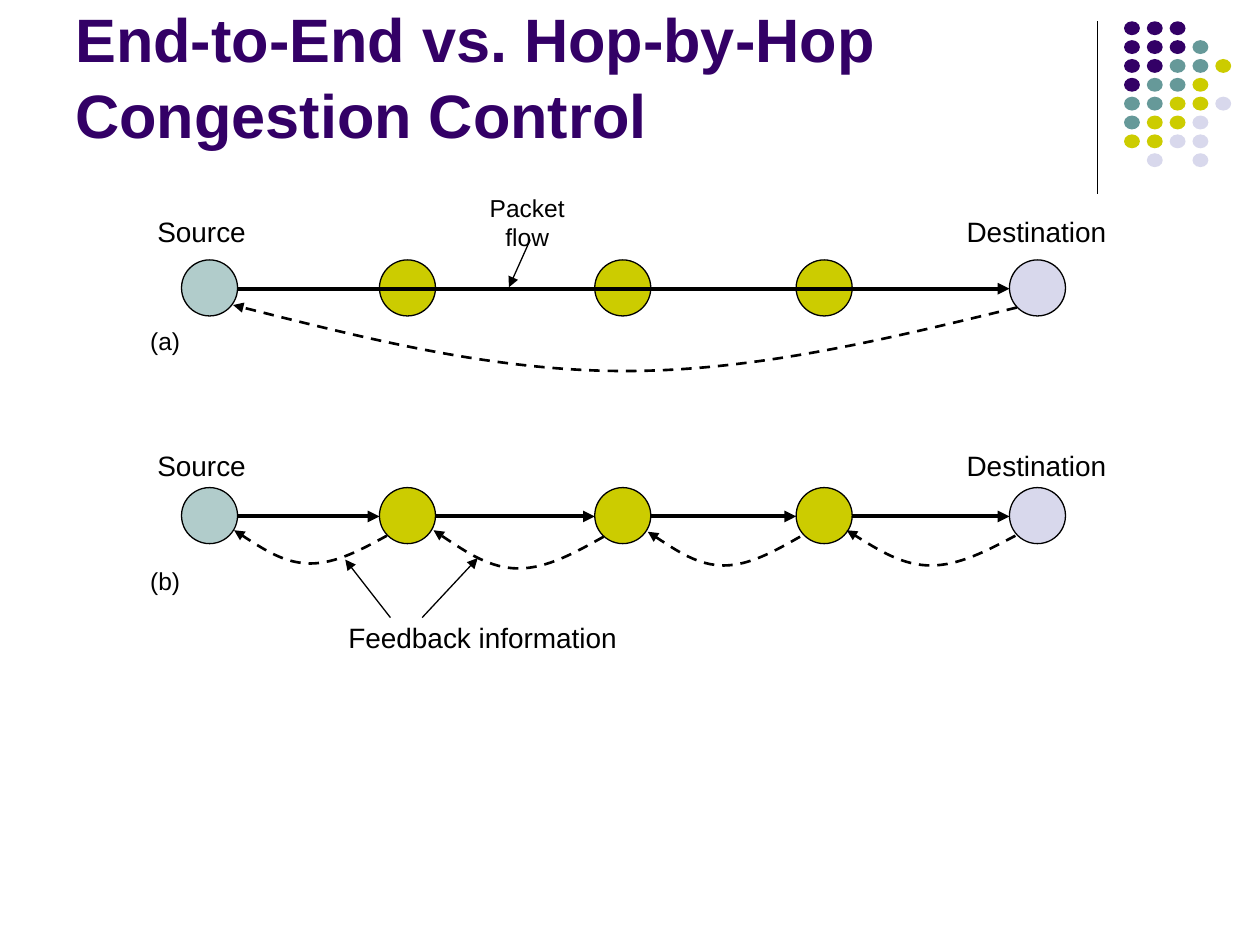
from itertools import pairwise

from pptx import Presentation
from pptx.dml.color import RGBColor
from pptx.enum.dml import MSO_LINE
from pptx.enum.shapes import MSO_CONNECTOR, MSO_SHAPE
from pptx.enum.text import MSO_ANCHOR, PP_ALIGN
from pptx.oxml.ns import qn
from pptx.oxml.xmlchemy import OxmlElement
from pptx.util import Cm, Pt

BLACK = RGBColor(0x00, 0x00, 0x00)
PURPLE = RGBColor(0x33, 0x00, 0x66)
TEAL = RGBColor(0x66, 0x99, 0x99)
PALE_TEAL = RGBColor(0xB1, 0xCC, 0xCB)
YELLOW = RGBColor(0xCC, 0xCC, 0x00)
LAVENDER = RGBColor(0xD8, 0xD8, 0xEC)

deck = Presentation()
deck.slide_width = Cm(25.4)
deck.slide_height = Cm(19.05)
page = deck.slides.add_slide(deck.slide_layouts[6])


def add_circle(left, top, width, height, color):
    circle = page.shapes.add_shape(
        MSO_SHAPE.OVAL, Cm(left), Cm(top), Cm(width), Cm(height))
    circle.shadow.inherit = False
    circle.fill.solid()
    circle.fill.fore_color.rgb = color
    circle.line.fill.background()
    return circle


def add_line(x1, y1, x2, y2, width, arrow=True):
    connector = page.shapes.add_connector(
        MSO_CONNECTOR.STRAIGHT, Cm(x1), Cm(y1), Cm(x2), Cm(y2))
    connector.line.color.rgb = BLACK
    connector.line.width = Pt(width)
    if arrow:
        tail = OxmlElement("a:tailEnd")
        tail.set("type", "triangle")
        connector.line._get_or_add_ln().append(tail)
    connector._element.spPr.append(OxmlElement("a:effectLst"))


add_line(22.12, 0.43, 22.12, 3.91, 0.75, arrow=False)

DOT_COLORS = {"P": PURPLE, "T": TEAL, "Y": YELLOW, "L": LAVENDER}
DOT_ROWS = ["PPP", "PPPT", "PPTTY", "PTTY", "TTYYL", "TYYL", "YYLL", "-L-L"]
for row, letters in enumerate(DOT_ROWS):
    for column, letter in enumerate(letters):
        if letter in DOT_COLORS:
            add_circle(22.66 + 0.46 * column, 0.43 + 0.38 * row,
                       0.32, 0.28, DOT_COLORS[letter])

NODE_SIZE = 1.13
NODE_LEFTS = [3.66, 7.65, 11.99, 16.05, 20.35]
NODE_COLORS = [PALE_TEAL, YELLOW, YELLOW, YELLOW, LAVENDER]
END_TO_END_TOP, HOP_BY_HOP_TOP = 5.24, 9.83
for top in (END_TO_END_TOP, HOP_BY_HOP_TOP):
    for left, color in zip(NODE_LEFTS, NODE_COLORS):
        node = add_circle(left, top, NODE_SIZE, NODE_SIZE, color)
        node.line.color.rgb = BLACK
        node.line.width = Pt(0.75)

flows = [(NODE_LEFTS[0], NODE_LEFTS[-1], END_TO_END_TOP + 0.58)]
flows += [(left, right, HOP_BY_HOP_TOP + 0.58)
          for left, right in pairwise(NODE_LEFTS)]
for left, right, level in flows:
    add_line(left + NODE_SIZE, level, right, level, 2.25)

FEEDBACK_CURVES = [
    (20.5, 6.2, 7.48, 4.7, 6.15),
    (7.8, 10.8, 11.36, 4.72, 10.69),
    (12.17, 10.82, 11.46, 8.74, 10.69),
    (16.13, 10.82, 11.4, 13.06, 10.72),
    (20.47, 10.8, 11.4, 17.07, 10.69),
]
for x1, y1, bottom, x2, y2 in FEEDBACK_CURVES:
    levels = [y1, (y1 + bottom) / 2, bottom, bottom, bottom, (bottom + y2) / 2, y2]
    points = [(Cm(x1 + (x2 - x1) * step / 6), Cm(level))
              for step, level in enumerate(levels)]
    builder = page.shapes.build_freeform(*points[0], scale=1.0)
    builder.add_line_segments(points[1:], close=False)
    curve = builder.convert_to_shape()
    segments = list(curve._element.iter(qn("a:lnTo")))
    for start in (0, 3):
        bezier = OxmlElement("a:cubicBezTo")
        segments[start].addprevious(bezier)
        for segment in segments[start:start + 3]:
            bezier.append(segment[0])
            segment.getparent().remove(segment)
    curve.shadow.inherit = False
    curve.fill.background()
    curve.line.color.rgb = BLACK
    curve.line.width = Pt(1.5)
    curve.line.dash_style = MSO_LINE.DASH
    tail = OxmlElement("a:tailEnd")
    tail.set("type", "triangle")
    curve.line._get_or_add_ln().append(tail)

for pointer in [(7.87, 12.45, 6.96, 11.28), (8.51, 12.45, 9.63, 11.25),
                (10.69, 4.83, 10.26, 5.79)]:
    add_line(*pointer, 0.75)

LABELS = [
    ("Source", 2.92, 4.19, 2.29, 0.94, 16),
    ("Destination", 19.23, 4.19, 3.33, 0.94, 16),
    ("Packet flow", 9.12, 4.06, 3.02, 0.84, 14),
    ("(a)", 2.77, 6.45, 1.12, 0.84, 14),
    ("Source", 2.92, 8.92, 2.29, 0.94, 16),
    ("Destination", 19.23, 8.92, 3.33, 0.94, 16),
    ("(b)", 2.77, 11.28, 1.12, 0.84, 14),
    ("Feedback information", 6.76, 12.37, 5.94, 0.94, 16),
]
for text, left, top, width, height, size in LABELS:
    box = page.shapes.add_textbox(Cm(left), Cm(top), Cm(width), Cm(height))
    box.text_frame.word_wrap = False
    box.text_frame.vertical_anchor = MSO_ANCHOR.MIDDLE
    para = box.text_frame.paragraphs[0]
    para.alignment = PP_ALIGN.CENTER
    span = para.add_run()
    span.text = text
    span.font.name = "Arial"
    span.font.size = Pt(size)
    span.font.color.rgb = BLACK

title = page.shapes.add_textbox(Cm(1.27), Cm(0.33), Cm(20.96), Cm(2.84))
title.text_frame.word_wrap = True
title.text_frame.vertical_anchor = MSO_ANCHOR.BOTTOM
para = title.text_frame.paragraphs[0]
para.line_spacing = 1.04
span = para.add_run()
span.text = "End-to-End vs. Hop-by-Hop Congestion Control"
span.font.name = "Arial"
span.font.size = Pt(35)
span.font.bold = True
span.font.color.rgb = PURPLE

deck.save("out.pptx")
